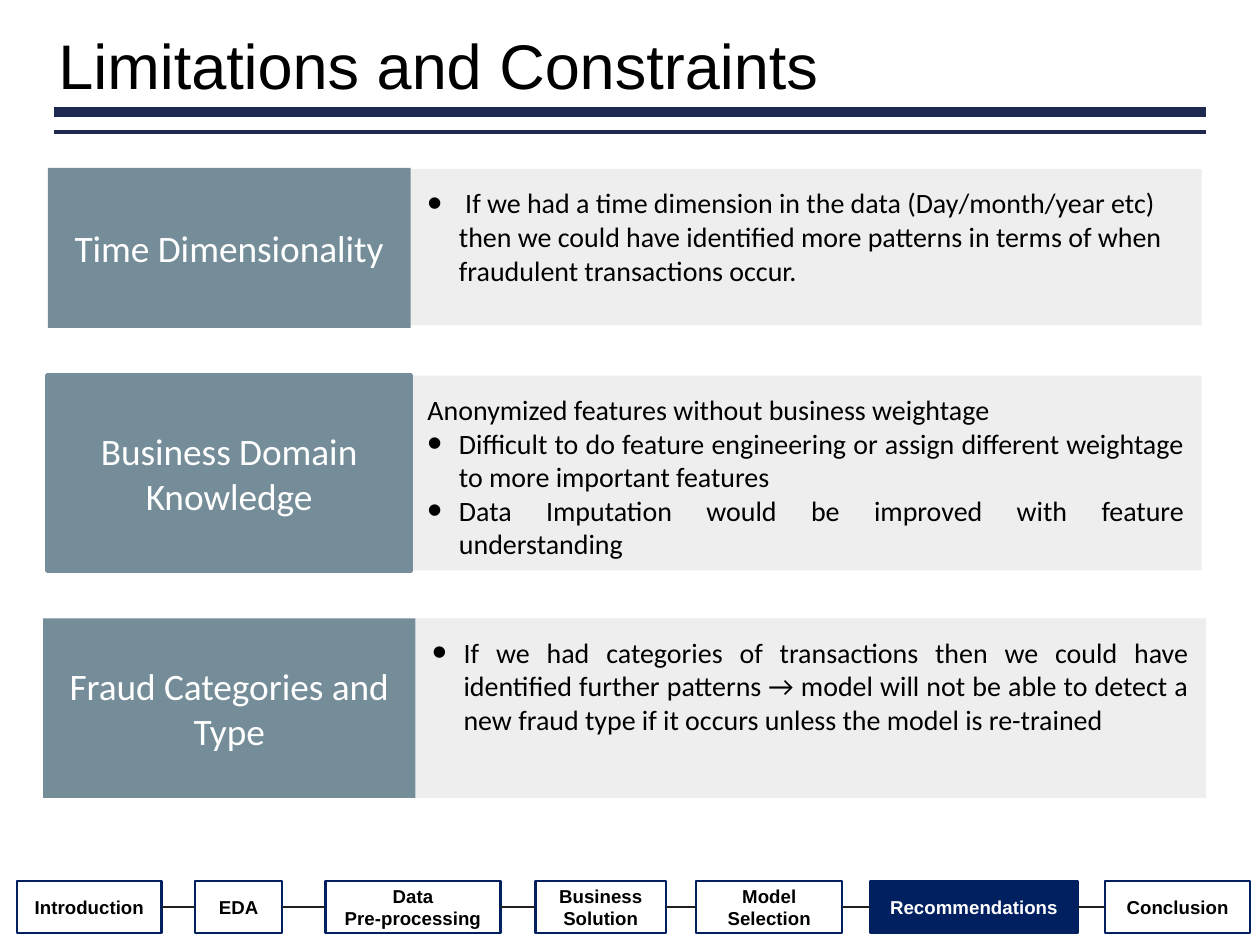
import pptx
import pptx.util
import pptx.dml.color
import pptx.enum.shapes
import pptx.enum.text
import pptx.oxml.ns
from lxml import etree

Pt = pptx.util.Pt
ALIGN = pptx.enum.text.PP_ALIGN
ANCHOR = pptx.enum.text.MSO_ANCHOR
NAVY = "002060"

# Label text, label box, panel box, panel alignment, (text, bulleted) lines
ROWS = [
    ("Time Dimensionality", (20.5, 72, 155.5, 68.5), (176, 72.5, 339, 67),
     ALIGN.LEFT,
     [(" If we had a time dimension in the data (Day/month/year etc) then we "
       "could have identified more patterns in terms of when fraudulent "
       "transactions occur.", True)]),
    ("Business Domain Knowledge", (20.5, 161, 155.5, 83.5),
     (176, 161, 339, 83.5), ALIGN.JUSTIFY,
     [("Anonymized features without business weightage", False),
      ("Difficult to do feature engineering or assign different weightage to "
       "more important features", True),
      ("Data Imputation would be improved with feature understanding", True)]),
    ("Fraud Categories and Type", (18.5, 265, 159.5, 77), (178, 265, 339, 77),
     ALIGN.JUSTIFY,
     [("If we had categories of transactions then we could have identified "
       "further patterns → model will not be able to detect a new fraud type "
       "if it occurs unless the model is re-trained", True)]),
]

# Step lines, left, width
STEPS = [
    (["Introduction"], 7.3, 62),
    (["EDA"], 83.6, 37.4),
    (["Data", "Pre-processing"], 139.5, 75),
    (["Business Solution"], 229.5, 56),
    (["Model Selection"], 298.4, 62.6),
    (["Recommendations"], 373, 88.8),
    (["Conclusion"], 473.7, 62),
]


def color(value):
    return pptx.dml.color.RGBColor.from_string(value)


def place(shape, box):
    shape.left, shape.top, shape.width, shape.height = map(Pt, box)


def setup(frame, anchor, across, down):
    """Set wrapping, anchor and margins of a text frame."""
    frame.word_wrap = True
    frame.auto_size = pptx.enum.text.MSO_AUTO_SIZE.NONE
    frame.vertical_anchor = anchor
    frame.margin_left = frame.margin_right = Pt(across)
    frame.margin_top = frame.margin_bottom = Pt(down)


def bullet(para, shown):
    """Give a paragraph a hanging bullet, or none."""
    props = para._p.get_or_add_pPr()
    indent = Pt(13.5) if shown else 0
    props.set("marL", str(indent))
    props.set("indent", str(-indent))
    marks = [("buClr", {}), ("buSzPct", {"val": "150000"}),
             ("buFont", {"typeface": "Arial"}), ("buChar", {"char": "•"})]
    for tag, attrs in marks if shown else [("buNone", {})]:
        node = etree.SubElement(props, pptx.oxml.ns.qn("a:" + tag), attrs)
        if tag == "buClr":
            etree.SubElement(node, pptx.oxml.ns.qn("a:srgbClr"), val="000000")


def write(frame, lines, size, font="Calibri", ink="000000", bold=False,
          align=ALIGN.CENTER, marks=None, spacing=1.0):
    """Fill a text frame, one paragraph per line."""
    for i, line in enumerate(lines):
        para = frame.paragraphs[0] if i == 0 else frame.add_paragraph()
        if marks:
            bullet(para, marks[i])
        para.alignment = align
        para.space_before = Pt(0)
        para.line_spacing = spacing
        run = para.add_run()
        run.text = line
        run.font.size = Pt(size)
        run.font.name = font
        run.font.bold = bold
        run.font.color.rgb = color(ink)


def block(slide, box, fill, edge=None, width=1):
    """Add a flat rectangle."""
    shape = slide.shapes.add_shape(
        pptx.enum.shapes.MSO_SHAPE.RECTANGLE, *map(Pt, box))
    shape.shadow.inherit = False
    shape.fill.solid()
    shape.fill.fore_color.rgb = color(fill)
    if edge:
        shape.line.color.rgb = color(edge)
        shape.line.width = Pt(width)
    else:
        shape.line.fill.background()
    return shape


def rule(slide, ends, ink, width):
    """Add a straight line without shadow."""
    line = slide.shapes.add_connector(
        pptx.enum.shapes.MSO_CONNECTOR.STRAIGHT, *map(Pt, ends))
    line.line.color.rgb = color(ink)
    line.line.width = Pt(width)
    etree.SubElement(line._element.spPr, pptx.oxml.ns.qn("a:effectLst"))
    return line


def header(slide):
    title = slide.shapes.title
    place(title, (20.5, 11.5, 496, 36.5))
    setup(title.text_frame, ANCHOR.MIDDLE, 4.5, 2.2)
    write(title.text_frame, ["Limitations and Constraints"], 27, "Arial",
          align=ALIGN.LEFT, spacing=0.9)
    for y, width in [(48, 4.5), (56.5, 1.5)]:
        rule(slide, (23, y, 517, y), "1F284F", width)


def row(slide, body, name, left, right, align, items):
    """Build one label with its list panel."""
    place(body, right)
    body.fill.solid()
    body.fill.fore_color.rgb = color("EEEEEE")
    setup(body.text_frame, ANCHOR.TOP, 7.2, 7.2)
    lines, marks = zip(*items)
    write(body.text_frame, lines, 12, align=align, marks=marks)
    edge = "748D99" if name.startswith("Business") else None
    label = block(slide, left, "748D99", edge, 2)
    setup(label.text_frame, ANCHOR.MIDDLE, 7.2, 3.6)
    write(label.text_frame, [name], 16, ink="FFFFFF")


def track(slide):
    """Build the row of steps along the bottom."""
    last = None
    for lines, left, width in STEPS:
        active = lines == ["Recommendations"]
        step = block(slide, (left, 377.5, width, 22.5),
                     NAVY if active else "FFFFFF", NAVY)
        setup(step.text_frame, ANCHOR.MIDDLE, 4, 0)
        write(step.text_frame, lines, 8, "Arial",
              "FFFFFF" if active else "000000", True)
        if last:
            link = rule(slide, (0, 0, 0, 0), "202020", 0.75)
            link.begin_connect(last, 3)
            link.end_connect(step, 1)
        last = step


def main():
    deck = pptx.Presentation()
    deck.slide_width, deck.slide_height = Pt(540), Pt(405)
    slide = deck.slides.add_slide(deck.slide_layouts.get_by_name("Comparison"))
    header(slide)
    bodies = list(slide.placeholders)[1:]
    for body, parts in zip(bodies, ROWS):
        row(slide, body, *parts)
    for spare in bodies[len(ROWS):]:
        spare.element.getparent().remove(spare.element)
    track(slide)
    deck.save("out.pptx")


if __name__ == "__main__":
    main()
